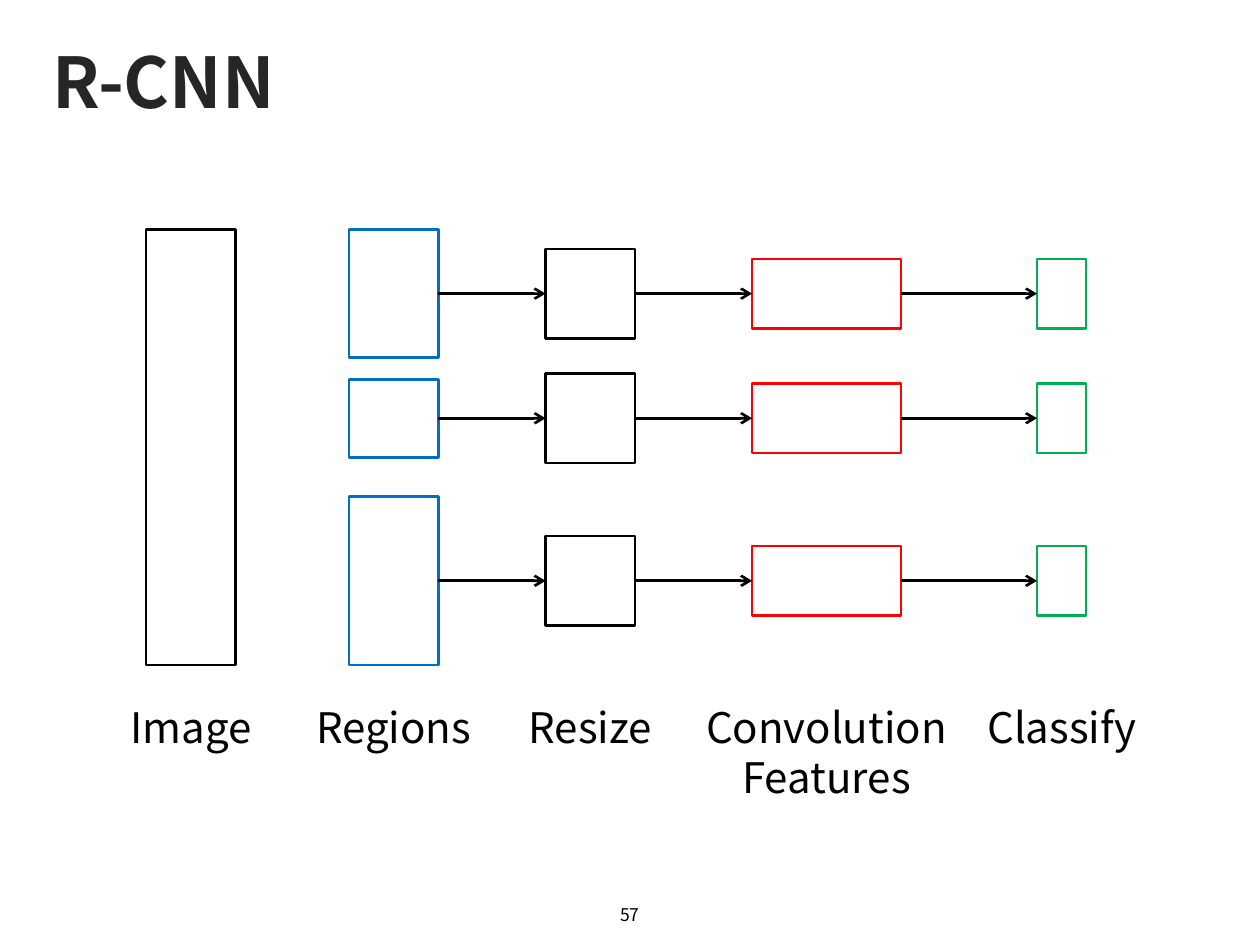
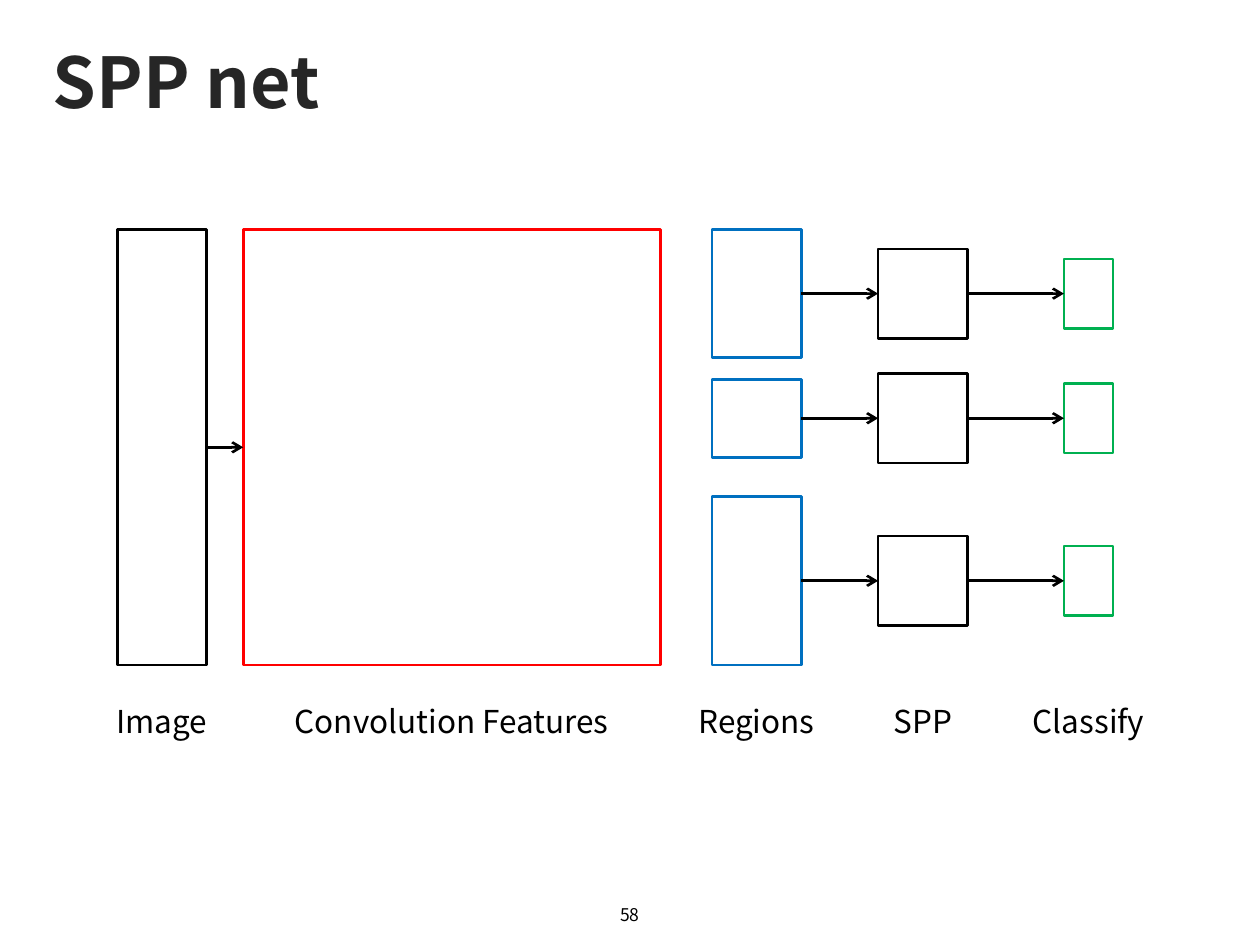
from collections import namedtuple
from pptx import Presentation
from pptx.dml.color import RGBColor
from pptx.enum.shapes import MSO_CONNECTOR, MSO_SHAPE
from pptx.enum.text import MSO_ANCHOR, PP_ALIGN
from pptx.oxml.ns import qn
from pptx.util import Pt
from lxml.etree import SubElement

BLACK = RGBColor(0x00, 0x00, 0x00)
INK = RGBColor(0x26, 0x26, 0x26)
BLUE = RGBColor(0x00, 0x70, 0xC0)
RED = RGBColor(0xFF, 0x00, 0x00)
GREEN = RGBColor(0x00, 0xB0, 0x50)
FONT = "Noto Sans CJK KR"

ROW_CENTERS = (167.8, 239, 331.9)
IMAGE_CENTER = (255.6,)
LABEL_TOP = 397.4
LINE_WIDTH = 1.5

IMAGE_HEIGHT = (249,)
REGION_HEIGHTS = (73.4, 44.6, 96.5)
SQUARE_HEIGHTS = (51.1,) * 3
OUTPUT_HEIGHTS = (39.6,) * 3

Stage = namedtuple("Stage", "label left width heights color label_width linked")

SLIDES = [
    {
        "title": "R-CNN", "number": "57", "label_size": 24, "label_height": 36,
        "stages": [
            Stage("Image", 83.5, 51.1, IMAGE_HEIGHT, BLACK, 100, False),
            Stage("Regions", 199.4, 51.1, REGION_HEIGHTS, BLUE, 122.4, False),
            Stage("Resize", 311.8, 51.1, SQUARE_HEIGHTS, BLACK, 99.4, True),
            Stage("Convolution Features", 429.8, 85, OUTPUT_HEIGHTS, RED, 175.7, True),
            Stage("Classify", 592.6, 28.1, OUTPUT_HEIGHTS, GREEN, 99.4, True),
        ],
    },
    {
        "title": "SPP net", "number": "58", "label_size": 18, "label_height": 29,
        "stages": [
            Stage("Image", 67, 51.1, IMAGE_HEIGHT, BLACK, 100, False),
            Stage("Convolution Features", 139, 238.3, IMAGE_HEIGHT, RED, 203.8, True),
            Stage("Regions", 406.8, 51.1, REGION_HEIGHTS, BLUE, 122.4, False),
            Stage("SPP", 501.8, 51.1, SQUARE_HEIGHTS, BLACK, 96.5, True),
            Stage("Classify", 608, 28.1, OUTPUT_HEIGHTS, GREEN, 99.4, True),
        ],
    },
]


def write(shape, text, size, color=BLACK, align=PP_ALIGN.CENTER, bold=False):
    frame = shape.text_frame
    frame.text = text
    frame.word_wrap = True
    para = frame.paragraphs[0]
    para.alignment = align
    for span in para.runs:
        span.font.name = FONT
        span.font.size = Pt(size)
        span.font.bold = bold
        span.font.color.rgb = color


def add_text(page, text, left, top, width, height, size):
    box = page.shapes.add_textbox(Pt(left), Pt(top), Pt(width), Pt(height))
    write(box, text, size)
    return box


def add_frame(page):
    def place(title):
        title.left, title.top, title.width, title.height = Pt(23), Pt(20.2), Pt(675.4), Pt(51.8)
        title.text_frame.vertical_anchor = MSO_ANCHOR.MIDDLE
    place(page.shapes.title)


def add_arrow(page, start, end, center):
    arrow = page.shapes.add_connector(
        MSO_CONNECTOR.STRAIGHT, Pt(start), Pt(center), Pt(end), Pt(center))
    arrow.line.color.rgb = BLACK
    arrow.line.width = Pt(LINE_WIDTH)
    SubElement(arrow.line._get_or_add_ln(), qn("a:tailEnd"), type="arrow")
    SubElement(arrow._element.spPr, qn("a:effectLst"))


def add_stage(page, stage, previous, label_size, label_height):
    centers = ROW_CENTERS if len(stage.heights) > 1 else IMAGE_CENTER
    for center, height in zip(centers, stage.heights):
        box = page.shapes.add_shape(
            MSO_SHAPE.RECTANGLE, Pt(stage.left), Pt(center - height / 2),
            Pt(stage.width), Pt(height))
        box.shadow.inherit = False
        box.fill.background()
        box.line.color.rgb = stage.color
        box.line.width = Pt(LINE_WIDTH)
        if stage.linked:
            add_arrow(page, previous.left + previous.width, stage.left, center)
    label_left = stage.left + (stage.width - stage.label_width) / 2
    add_text(page, stage.label, label_left, LABEL_TOP,
             stage.label_width, label_height, label_size)


def add_page(deck, content):
    page = deck.slides.add_slide(deck.slide_layouts[5])
    add_frame(page)
    write(page.shapes.title, content["title"], 40, INK, PP_ALIGN.LEFT, True)
    number = add_text(page, content["number"], 275.8, 508.3, 168, 28.8, 10)
    number.text_frame.vertical_anchor = MSO_ANCHOR.MIDDLE
    stages = content["stages"]
    for stage, previous in zip(stages, [None] + stages):
        add_stage(page, stage, previous, content["label_size"], content["label_height"])


def main():
    """Build the slides comparing the two detection pipelines."""
    deck = Presentation()
    deck.slide_width, deck.slide_height = Pt(720), Pt(540)
    for content in SLIDES:
        add_page(deck, content)
    deck.save("out.pptx")


if __name__ == "__main__":
    main()
